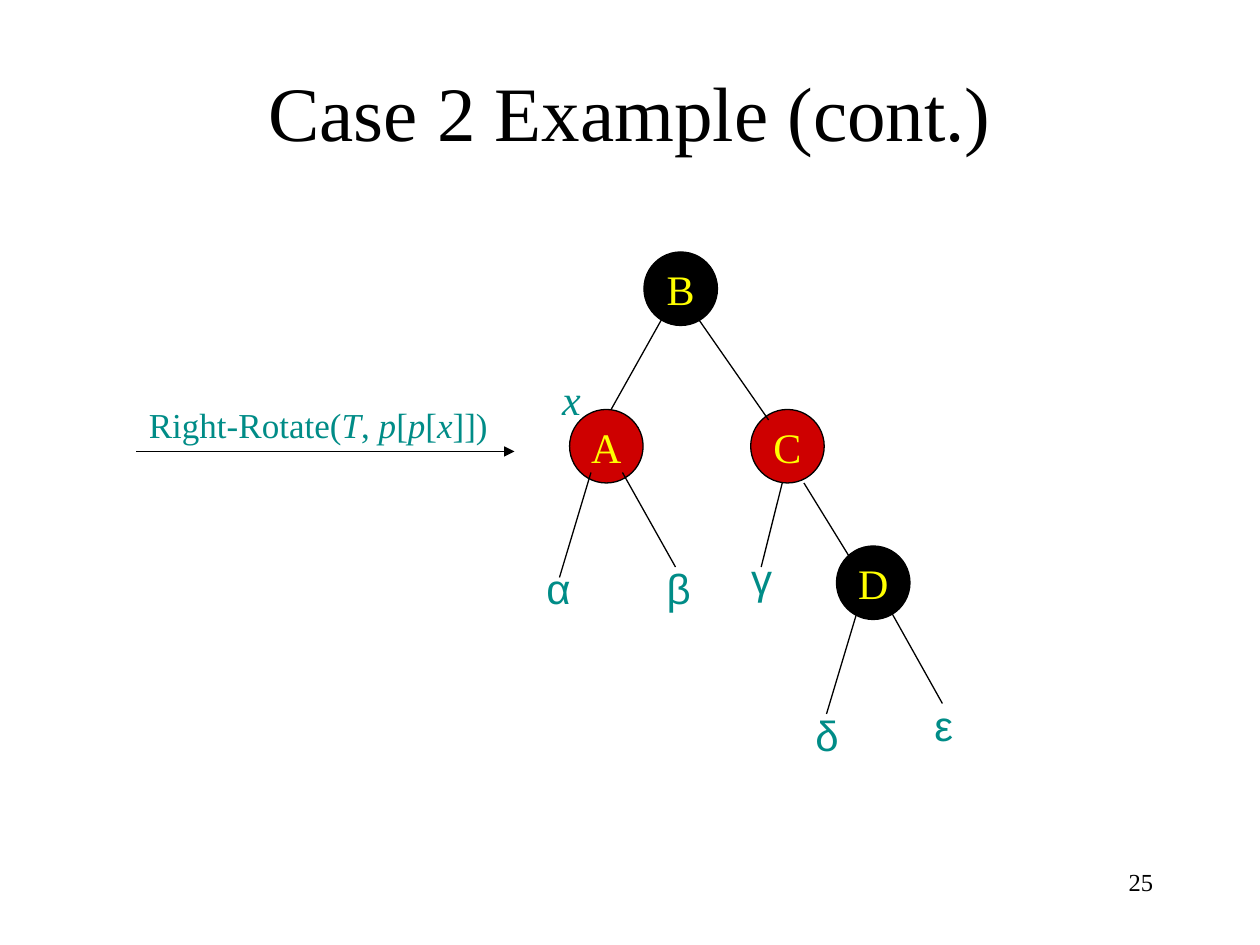
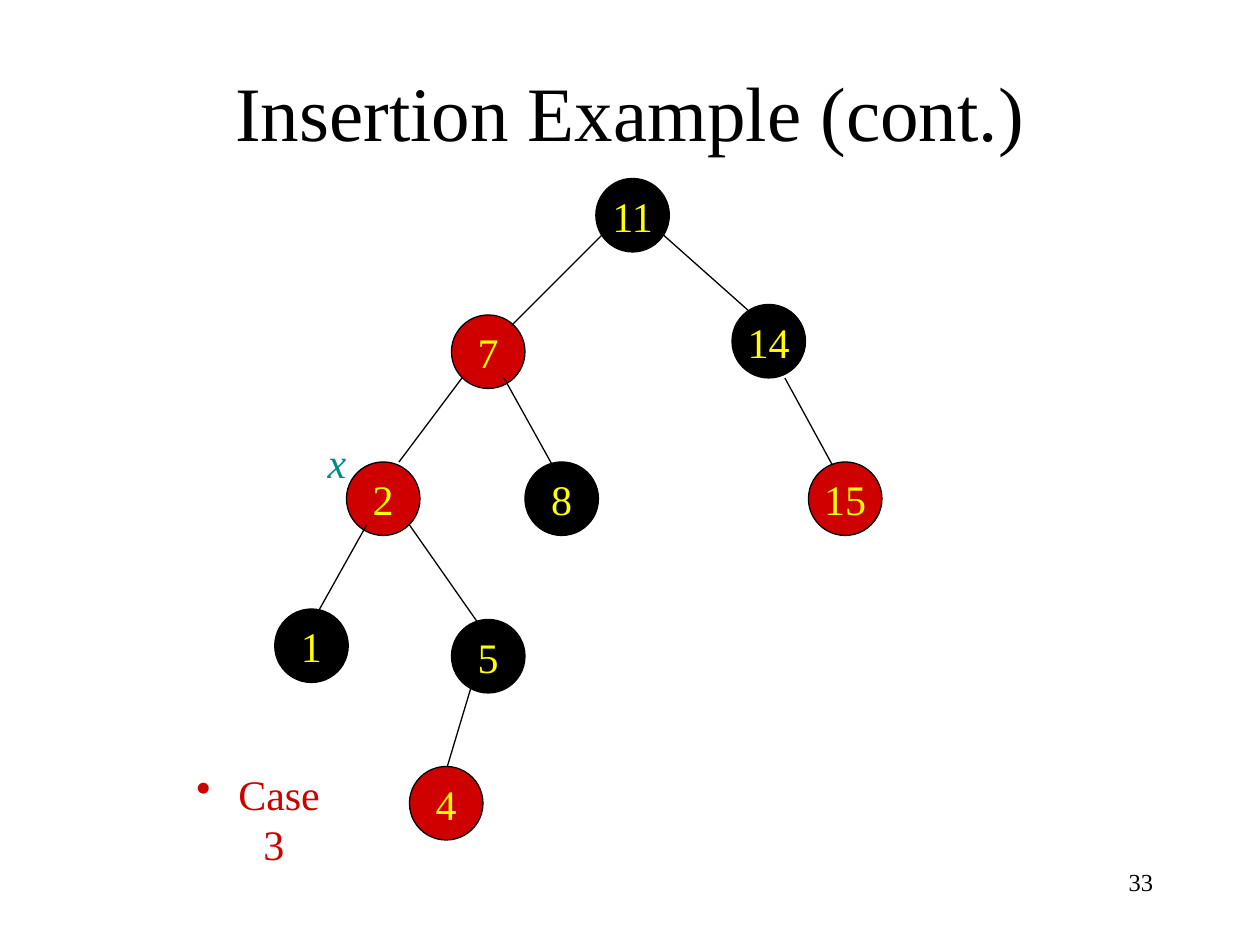
from pptx import Presentation
from pptx.dml.color import RGBColor
from pptx.enum import shapes, text
from pptx.oxml.ns import qn
from pptx.util import Pt
from lxml import etree

BLACK, RED, YELLOW, TEAL = "000000", "CE0000", "FFFF00", "008C87"
SERIF, SANS = "Times New Roman", "Arial"
CENTER, LEFT, RIGHT = text.PP_ALIGN.CENTER, text.PP_ALIGN.LEFT, text.PP_ALIGN.RIGHT


def color(value):
    return RGBColor.from_string(value)


class TreeDeck:
    node_size = 42
    label_width, label_height = 27, 36
    line_width = 0.75

    def __init__(self):
        self.deck = Presentation()
        self.deck.slide_width, self.deck.slide_height = Pt(720), Pt(540)
        self.slide = None

    def new_slide(self, title, number):
        self.slide = self.deck.slides.add_slide(self.deck.slide_layouts[6])
        heading = self.words(title, 54, 18, 612, 90, size=44)
        heading.vertical_anchor = text.MSO_ANCHOR.MIDDLE
        self.words(number, 516, 492, 150, 36, size=14, align=RIGHT)

    def style(self, paragraph, size, ink, font=SERIF, align=CENTER, italic=None):
        paragraph.alignment = align
        paragraph.font.size = Pt(size)
        paragraph.font.name = font
        paragraph.font.color.rgb = color(ink)
        paragraph.font.italic = italic

    def words(self, content, x, y, width, height, size=24, ink=BLACK, wrap=True, **look):
        box = self.slide.shapes.add_textbox(Pt(x), Pt(y), Pt(width), Pt(height))
        frame = box.text_frame
        frame.word_wrap = wrap
        frame.text = content
        self.style(frame.paragraphs[0], size, ink, **look)
        return frame

    def label(self, content, center, top, font=SANS, italic=None):
        self.words(content, center - self.label_width / 2, top, self.label_width,
                   self.label_height, ink=TEAL, wrap=False, font=font, italic=italic)

    def pointer(self, center, top):
        self.label("x", center, top, font=SERIF, italic=True)

    def call(self, pieces, x, y, width, height):
        frame = self.words("", x, y, width, height, size=20, ink=TEAL, wrap=False, align=LEFT)
        for content, italic in pieces:
            run = frame.paragraphs[0].add_run()
            run.text = content
            run.font.italic = italic

    def bullet(self, content, x, y, width, height, indent=18):
        frame = self.words("", x, y, width, height)
        paragraph = frame.paragraphs[0]
        paragraph.text = content
        properties = paragraph._p.get_or_add_pPr()
        properties.set("marL", str(Pt(indent)))
        properties.set("indent", str(-Pt(indent)))
        mark = etree.Element(qn("a:buChar"), char="•")
        properties.insert(0, mark)
        self.style(paragraph, 24, RED)

    def node(self, key, x, y, fill):
        circle = self.slide.shapes.add_shape(
            shapes.MSO_SHAPE.OVAL, Pt(x), Pt(y), Pt(self.node_size), Pt(self.node_size))
        circle.shadow.inherit = False
        circle.fill.solid()
        circle.fill.fore_color.rgb = color(fill)
        circle.line.color.rgb = color(BLACK)
        circle.line.width = Pt(self.line_width)
        frame = circle.text_frame
        frame.word_wrap = False
        frame.vertical_anchor = text.MSO_ANCHOR.MIDDLE
        frame.text = key
        self.style(frame.paragraphs[0], 24, YELLOW)

    def edge(self, x1, y1, x2, y2, arrow=False):
        link = self.slide.shapes.add_connector(
            shapes.MSO_CONNECTOR.STRAIGHT, Pt(x1), Pt(y1), Pt(x2), Pt(y2))
        link.line.color.rgb = color(BLACK)
        link.line.width = Pt(self.line_width)
        if arrow:
            etree.SubElement(link.line._get_or_add_ln(), qn("a:tailEnd"), type="triangle")
        etree.SubElement(link._element.spPr, qn("a:effectLst"))

    def nodes(self, rows):
        for row in rows:
            self.node(*row)

    def edges(self, rows):
        for row in rows:
            self.edge(*row)


def rotation_slide(tree):
    tree.new_slide("Case 2 Example (cont.)", "25")
    tree.nodes([
        ("A", 325.5, 234, RED),
        ("C", 429, 234, RED),
        ("B", 368, 144, BLACK),
        ("D", 478, 312, BLACK),
    ])
    tree.edges([
        (379.5, 180, 349.2, 234),
        (397.5, 180, 439.2, 240),
        (508.3, 348, 538.5, 402),
        (490.3, 348, 472.3, 408),
        (355.7, 270, 386, 324),
        (337.7, 270, 319.7, 330),
        (459.4, 276, 489, 324),
        (447, 276, 435, 324),
    ])
    subtrees = [("α", 318.6, 318), ("β", 387.4, 318), ("γ", 435.2, 312),
                ("δ", 472.3, 402), ("ε", 539.3, 396)]
    for subtree in subtrees:
        tree.label(*subtree)
    tree.pointer(326.5, 210)
    tree.call([("Right-Rotate(", False), ("T", True), (", ", False), ("p", True), ("[", False),
               ("p", True), ("[", False), ("x", True), ("]])", False)], 78, 227, 208, 32)
    tree.edge(78, 258, 294, 258, arrow=True)


def insertion_slide(tree):
    tree.new_slide("Insertion Example (cont.)", "33")
    tree.nodes([
        ("7", 258, 180, RED),
        ("11", 340.5, 102, BLACK),
        ("2", 198, 264, RED),
        ("14", 418.3, 174, BLACK),
    ])
    tree.edges([
        (346.3, 132, 292.3, 186),
        (376.5, 132, 430.5, 180),
        (209.5, 300, 179.3, 354),
        (234, 300, 276, 360),
        (448.5, 216, 478, 270),
        (288, 216, 318, 270),
        (270, 390, 252, 450),
        (264, 216, 228, 264),
    ])
    tree.nodes([
        ("1", 157, 348, BLACK),
        ("5", 258, 354, BLACK),
        ("8", 300, 264, BLACK),
        ("15", 462, 264, RED),
        ("4", 234, 438, RED),
    ])
    tree.bullet(" Case 3", 101, 435.6, 93, 36)
    tree.pointer(192.6, 246)


def main():
    tree = TreeDeck()
    rotation_slide(tree)
    insertion_slide(tree)
    tree.deck.save("out.pptx")


if __name__ == "__main__":
    main()
